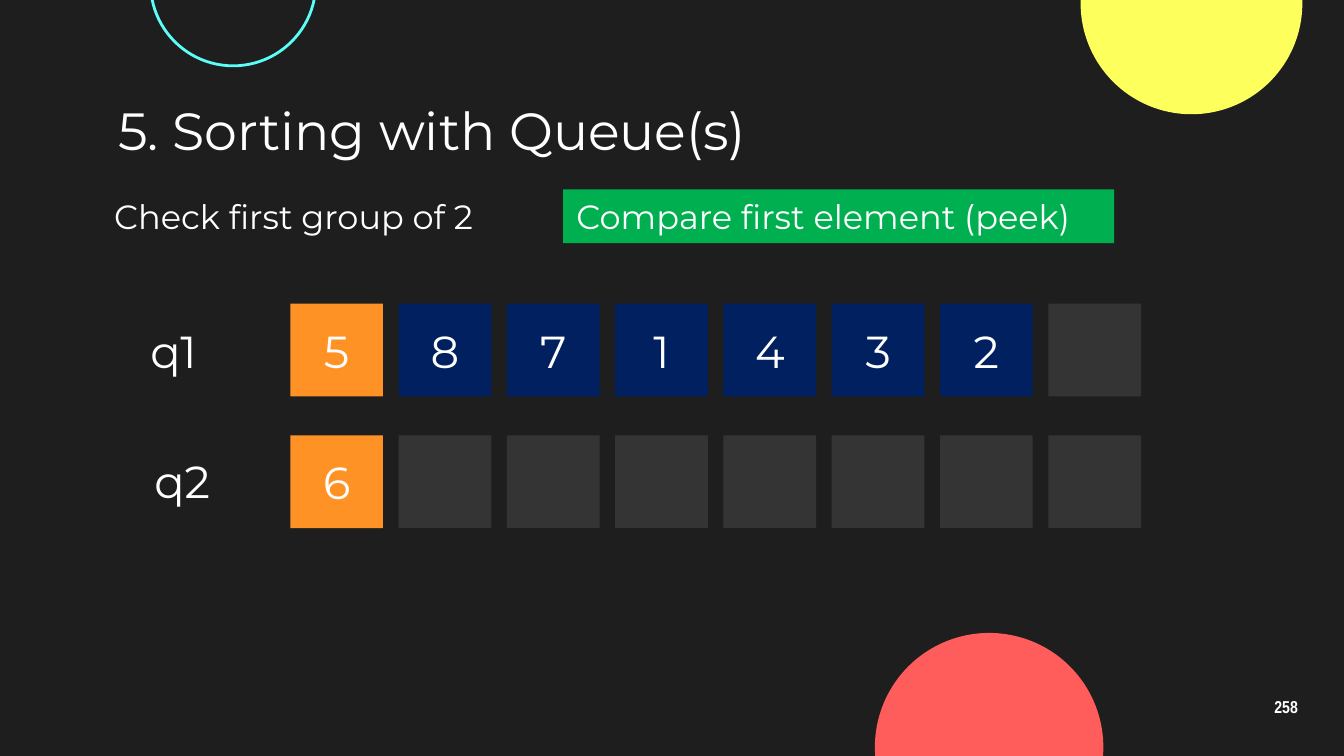
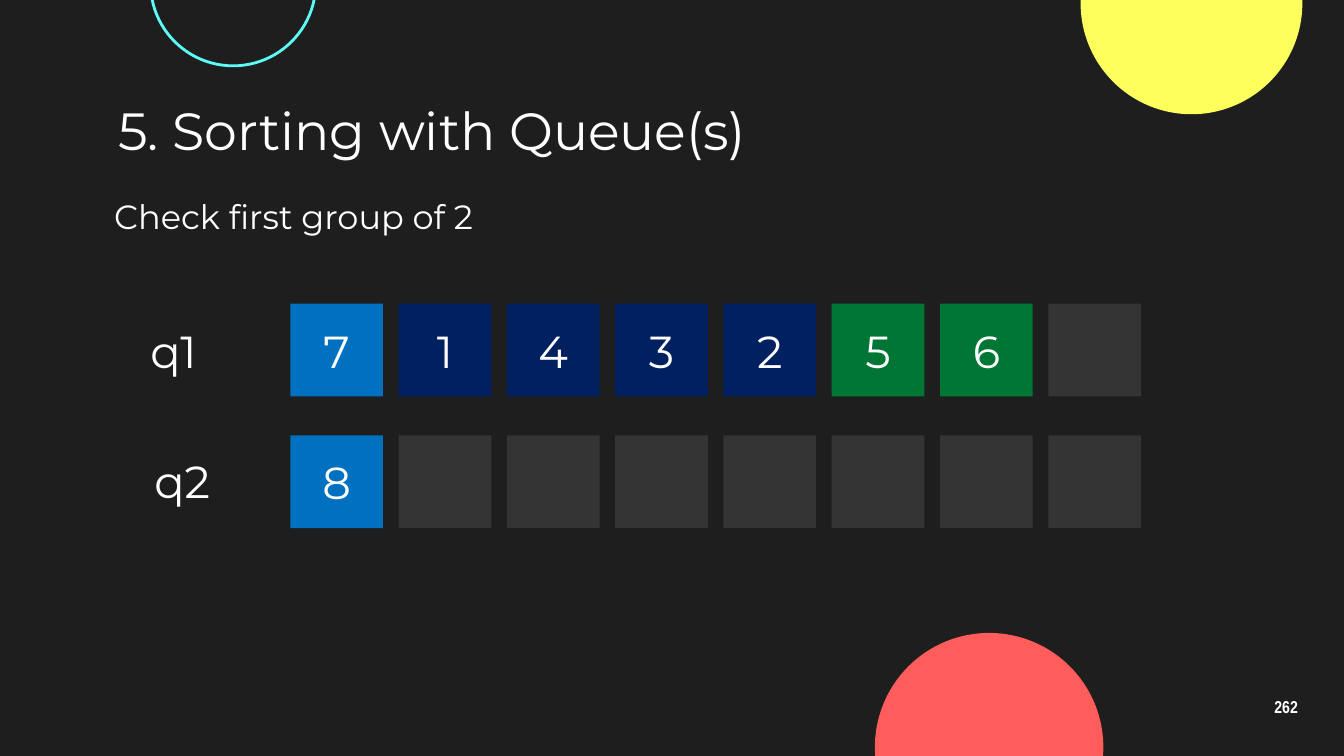
from collections import namedtuple

from pptx import Presentation
from pptx.dml.color import RGBColor
from pptx.enum.shapes import MSO_SHAPE as Shape
from pptx.enum.text import MSO_ANCHOR as Anchor, MSO_AUTO_SIZE as AutoSize, PP_ALIGN as Align
from pptx.util import Inches, Pt

# Square grid: 100 columns across the slide, 56.25 rows down
COLUMNS, ROWS = 100, 56.25
UNIT = Inches(10) / COLUMNS
Box = namedtuple("Box", "left top width height")
PAGE = Box(0, 0, COLUMNS, ROWS)

BODY_FONT, NUMBER_FONT = "Montserrat", "Arial Narrow"
WHITE, BACKDROP = "FFFFFF", "1E1E1E"
YELLOW, CYAN, CORAL = "FDFF5C", "5CFFF8", "FF5C5C"
EMPTY, WAITING, COMPARED, PICKED, SORTED, CALLOUT = (
    "343434", "002060", "FF9225", "0070C0", "007635", "00B050")

SLOTS = 8
TITLE = "5. Sorting with Queue(s)"
STEP = "Check first group of 2"


def color(value):
    return RGBColor.from_string(value)


def inside(box, left, top, width, height):
    """Box offset from the top left corner of another box."""
    return Box(box.left + left, box.top + top, width, height)


def emu(box):
    return [round(length * UNIT) for length in box]


def write(holder, text, size=18, font=BODY_FONT, bold=False, align=Align.LEFT,
          anchor=Anchor.TOP, inset=None, spacing=None):
    frame = holder.text_frame
    frame.word_wrap = True
    frame.auto_size = AutoSize.NONE
    frame.vertical_anchor = anchor
    if inset is not None:
        frame.margin_left = frame.margin_right = Inches(inset)
        frame.margin_top = frame.margin_bottom = Inches(inset)
    line = frame.paragraphs[0]
    line.alignment = align
    line.line_spacing = spacing
    run = line.add_run()
    run.text = text
    run.font.name, run.font.size, run.font.bold = font, Pt(size), bold
    run.font.color.rgb = color(WHITE)


def add_text(slide, box, text, **style):
    write(slide.shapes.add_textbox(*emu(box)), text, **style)


def add_block(slide, kind, box, fill=None, outline=None):
    block = slide.shapes.add_shape(kind, *emu(box))
    block.shadow.inherit = False
    if fill:
        block.fill.solid()
        block.fill.fore_color.rgb = color(fill)
    else:
        block.fill.background()
    if outline:
        block.line.color.rgb = color(outline)
        block.line.width = Pt(1.5)
    else:
        block.line.fill.background()
    return block


def decorate_layout(layout, slide):
    """Circles shared by all slides, moved from a slide to its layout."""
    for left, top, diameter, fill, outline in [
            (80.4, -8, 16.5, YELLOW, None),
            (11.2, -7.4, 12.3, None, CYAN),
            (65.1, 47.1, 17, CORAL, None)]:
        circle = add_block(slide, Shape.OVAL, inside(PAGE, left, top, diameter, diameter),
                           fill, outline)
        layout.shapes.element.append(circle.element)


def add_header(slide, box, callout):
    # Title
    title = slide.shapes.title
    title.left, title.top, title.width, title.height = emu(inside(box, 0.3, 0, 84.4, 5.1))
    write(title, TITLE, size=28, anchor=Anchor.MIDDLE, inset=0.1)
    # Current step, with the optional action beside it
    add_text(slide, inside(box, 0, 7, 36.1, 4), STEP)
    if callout:
        write(add_block(slide, Shape.RECTANGLE, inside(box, 34.4, 7, 41, 4), CALLOUT), callout)


def add_queue(slide, box, name, name_left, name_top, items):
    add_text(slide, inside(box, name_left, name_top, 13.5, 5), name, size=24)
    # Equal square slots; the rest of the queue stays empty
    side, first = box.height, 11.4
    pitch = (box.width - first - side) / (SLOTS - 1)
    padded = items + [("", EMPTY)] * (SLOTS - len(items))
    for index, (value, fill) in enumerate(padded):
        slot = add_block(slide, Shape.RECTANGLE,
                         inside(box, first + index * pitch, 0, side, side), fill)
        if value:
            write(slot, value, size=24, align=Align.CENTER, anchor=Anchor.MIDDLE)


def add_page_number(slide, box, number):
    add_text(slide, box, number, size=9.2, font=NUMBER_FONT, bold=True, align=Align.CENTER,
             anchor=Anchor.MIDDLE, inset=0.1, spacing=0.9)


def fill_queue_slide(slide, number, q1, q2, callout=None):
    add_header(slide, inside(PAGE, 7.5, 7.1, 84.7, 11), callout)
    add_queue(slide, inside(PAGE, 10.2, 22.6, 74.7, 6.9), "q1", 0, 1, q1)
    add_queue(slide, inside(PAGE, 10.2, 32.4, 74.7, 6.9), "q2", 0.3, 0.9, q2)
    add_page_number(slide, inside(PAGE, 92.7, 51, 6, 3.4), number)


def items_of(values, fill):
    return [(value, fill) for value in values]


def main():
    deck = Presentation()
    deck.slide_width, deck.slide_height = Inches(10), round(ROWS * UNIT)
    backdrop = deck.slide_master.background.fill
    backdrop.solid()
    backdrop.fore_color.rgb = color(BACKDROP)

    title_only = deck.slide_layouts[5]
    comparing, picking = [deck.slides.add_slide(title_only) for _ in range(2)]
    decorate_layout(title_only, comparing)

    fill_queue_slide(comparing, "258",
                     items_of("5", COMPARED) + items_of("871432", WAITING),
                     items_of("6", COMPARED), "Compare first element (peek)")
    fill_queue_slide(picking, "262",
                     items_of("7", PICKED) + items_of("1432", WAITING) + items_of("56", SORTED),
                     items_of("8", PICKED))
    deck.save("out.pptx")


if __name__ == "__main__":
    main()
